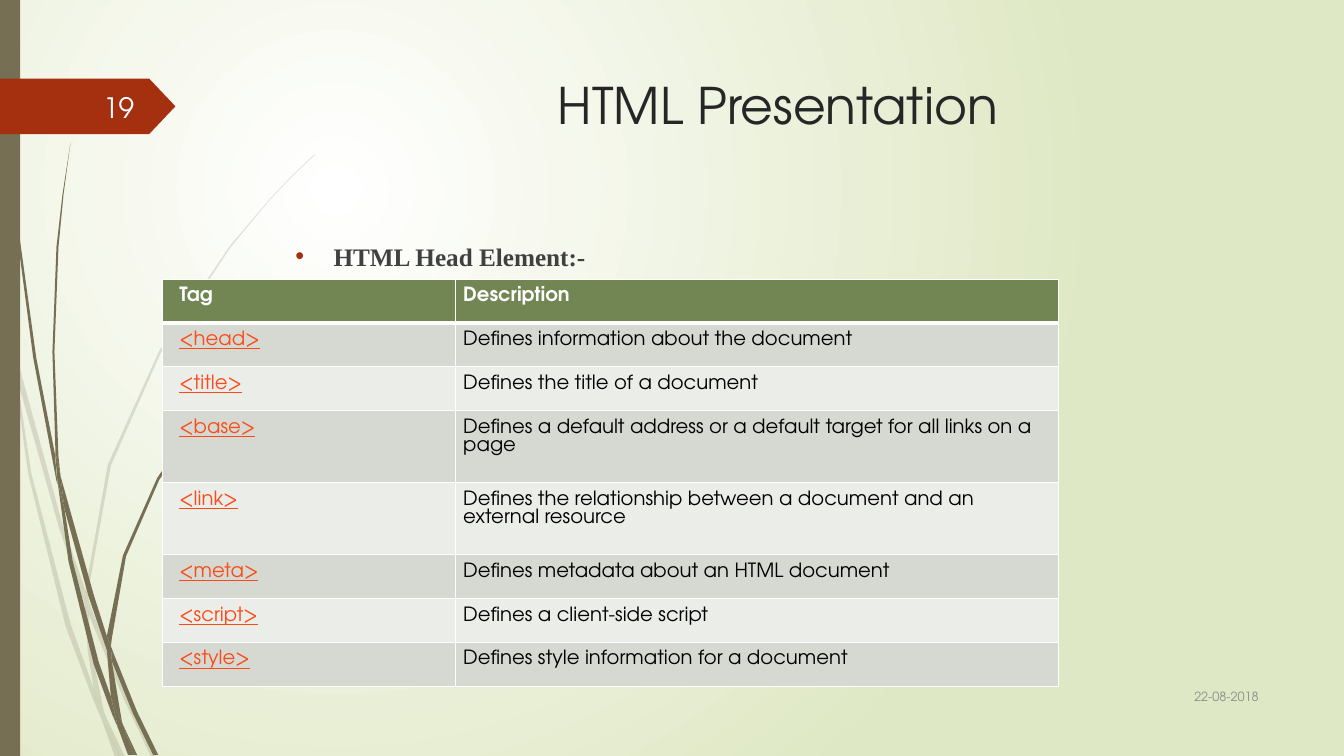
from lxml.etree import SubElement
from pptx import Presentation
from pptx.dml.color import RGBColor
from pptx.enum.shapes import MSO_SHAPE
from pptx.enum.text import MSO_ANCHOR, PP_ALIGN
from pptx.oxml import parse_xml
from pptx.oxml.ns import nsdecls, qn
from pptx.util import Inches, Pt

CELL = Inches(0.01)
COLUMNS, ROWS = 1333, 750
SANS, SERIF = "TeX Gyre Adventor", "Times New Roman"
COLORS = {
    "white": "FFFFFF", "meadow": "DFE8C4", "stem": "766F54", "flag": "A53010",
    "number": "FEFFFF", "title": "262626", "body": "404040", "date": "8C8C8C",
    "header": "728653", "odd": "D5D9D1", "even": "EBEDE9", "tag": "FB4A18",
    "text": "000000",
}
PALE_BLADES = [
    [(11, 350), (9, 322), (0, 282), (0, 299), (10, 344)],
    [(58, 522), (84, 599), (85, 586), (62, 520), (14, 345), (17, 376)],
    [(92, 607), (88, 596), (88, 610), (123, 694), (150, 751), (155, 751), (127, 692)],
    [(119, 751), (124, 751), (105, 711)],
    [(93, 683), (70, 619), (31, 469), (17, 376), (11, 350), (28, 470), (65, 621), (92, 693),
     (101, 714), (99, 707)],
    [(84, 599), (87, 646), (93, 683), (96, 692), (105, 711), (103, 706), (91, 646), (88, 610),
     (88, 608)],
    [(88, 584), (110, 462), (160, 349), (229, 245), (268, 198), (290, 175), (312, 154), (312, 153),
     (289, 175), (268, 197), (228, 244), (158, 348), (107, 461), (85, 584), (85, 586), (88, 596)],
    [(101, 714), (114, 751), (119, 751)],
    [(88, 608), (88, 610), (88, 596), (85, 586), (84, 599)],
    [(96, 692), (93, 683), (99, 707), (101, 714), (119, 751), (105, 711)],
]
DARK_BLADES = [
    [(7, 110), (17, 233), (33, 355), (56, 477), (57, 481), (55, 457), (55, 453), (36, 355),
     (19, 232), (8, 109), (5, 48), (4, 0), (3, 0), (4, 48)],
    [(88, 592), (106, 645), (106, 633), (106, 631), (93, 590), (60, 472), (64, 505)],
    [(113, 649), (110, 641), (111, 656), (132, 708), (152, 749), (157, 749), (136, 706)],
    [(110, 691), (98, 657), (72, 556), (64, 505), (57, 477), (68, 557), (93, 659), (111, 708),
     (117, 722), (116, 717)],
    [(60, 472), (58, 453), (54, 349), (58, 245), (63, 193), (70, 141), (62, 193), (56, 245),
     (52, 349), (55, 449)],
    [(133, 749), (136, 749), (122, 719)],
    [(57, 477), (64, 505), (60, 472), (55, 449), (55, 453)],
    [(111, 633), (125, 552), (158, 476), (205, 406), (231, 374), (245, 359), (261, 344), (260, 344),
     (245, 358), (231, 373), (204, 405), (156, 474), (122, 551), (106, 631), (110, 641)],
    [(117, 722), (127, 749), (131, 749)],
    [(106, 645), (110, 691), (116, 706), (122, 719), (121, 716), (111, 656), (109, 651)],
    [(106, 645), (109, 651), (111, 656), (110, 641), (106, 631), (106, 633)],
    [(116, 706), (110, 691), (116, 717), (117, 722), (130, 749), (133, 749), (122, 719)],
]
TAGS = [
    ("Tag", "Description"),
    ("<head>", "Defines information about the document"),
    ("<title>", "Defines the title of a document"),
    ("<base>", "Defines a default address or a default target for all links on a page"),
    ("<link>", "Defines the relationship between a document and an external resource"),
    ("<meta>", "Defines metadata about an HTML document"),
    ("<script>", "Defines a client-side script"),
    ("<style>", "Defines style information for a document"),
]


def color(name):
    """Return the named colour."""
    return RGBColor.from_string(COLORS[name])


def place(box):
    """Turn a box in grid cells into slide lengths."""
    return [round(value * CELL) for value in box]


def paint(shape, name, opacity=100):
    """Give a shape a plain fill without line or shadow."""
    shape.shadow.inherit = False
    shape.line.fill.background()
    shape.fill.solid()
    shape.fill.fore_color.rgb = color(name)
    if opacity < 100:
        tint = shape.element.spPr.find(qn("a:solidFill"))[0]
        SubElement(tint, qn("a:alpha")).set("val", str(opacity * 1000))


def add_outline(shapes, box, points, name, opacity=100):
    """Draw a closed outline from points relative to a box."""
    corners = [place((box[0] + x, box[1] + y)) for x, y in points]
    builder = shapes.build_freeform(*corners[0], scale=1.0)
    builder.add_line_segments(corners[1:], close=True)
    paint(builder.convert_to_shape(), name, opacity)


def add_grass(slide, box):
    """Draw the pale and dark blades and the stem bar."""
    for blades, opacity in ((PALE_BLADES, 20), (DARK_BLADES, 100)):
        group = slide.shapes.add_group_shape()
        for blade in blades:
            add_outline(group.shapes, box, blade, "stem", opacity)
    left, top, _, height = box
    bar = slide.shapes.add_shape(MSO_SHAPE.RECTANGLE, *place((left, top, 20, height)))
    paint(bar, "stem")


def add_run(paragraph, text, size, name, font=SANS, bold=False, underline=False):
    """Add one formatted run to a paragraph."""
    run = paragraph.add_run()
    run.text = text
    run.font.size, run.font.name = Pt(size), font
    run.font.bold, run.font.underline = bold, underline
    run.font.color.rgb = color(name)


def add_text(slide, box, text, size, name, align=PP_ALIGN.LEFT, anchor=MSO_ANCHOR.TOP, **style):
    """Add a wrapped one-paragraph text box and return its paragraph."""
    frame = slide.shapes.add_textbox(*place(box)).text_frame
    frame.word_wrap = True
    frame.vertical_anchor = anchor
    paragraph = frame.paragraphs[0]
    paragraph.alignment = align
    add_run(paragraph, text, size, name, **style)
    return paragraph


def add_number_flag(slide, box):
    """Draw the pointed flag with the slide number."""
    left, top, width, height = box
    notch = width - 26
    points = [(0, 0), (notch, 0), (width, height / 2), (notch, height), (0, height)]
    add_outline(slide.shapes, box, points, "flag")
    add_text(slide, (left + 58, top + 8, 85, 40), "19", 20, "number",
             PP_ALIGN.RIGHT, MSO_ANCHOR.MIDDLE)


def add_heading(slide, box):
    """Add the bulleted heading above the table."""
    paragraph = add_text(slide, box, "HTML Head Element:-", 18, "body", font=SERIF, bold=True)
    paragraph.space_before = Pt(10)
    properties = paragraph._p.get_or_add_pPr()
    properties.set("marL", str(Inches(0.38)))
    properties.set("indent", str(-Inches(0.38)))
    tint = SubElement(SubElement(properties, qn("a:buClr")), qn("a:srgbClr"))
    tint.set("val", COLORS["flag"])
    SubElement(properties, qn("a:buFont")).set("typeface", "Arial")
    SubElement(properties, qn("a:buChar")).set("char", "•")


def add_borders(cell, widths):
    """Draw white borders with a width for each side."""
    properties = cell._tc.get_or_add_tcPr()
    for index, (side, width) in enumerate(widths.items()):
        properties.insert(index, parse_xml(
            f'<a:ln{side} {nsdecls("a")} w="{Pt(width)}"><a:solidFill>'
            f'<a:srgbClr val="{COLORS["white"]}"/></a:solidFill></a:ln{side}>'))


def add_tag_table(slide, box):
    """Add the table of head tags and their descriptions."""
    table = slide.shapes.add_table(len(TAGS), 2, *place(box)).table
    for column, width in zip(table.columns, place((290.5, box[2] - 290.5))):
        column.width = width
    for index, texts in enumerate(TAGS):
        header = index == 0
        table.rows[index].height = round((71.5 if index in (3, 4) else 43.5) * CELL)
        fill = "header" if header else ("even", "odd")[index % 2]
        widths = {"L": 1, "R": 1, "T": 3 if index == 1 else 1, "B": 3 if header else 1}
        for position, text in enumerate(texts):
            cell = table.cell(index, position)
            cell.margin_left = (8 if position else 17) * CELL
            cell.margin_right = cell.margin_top = cell.margin_bottom = 8 * CELL
            cell.fill.solid()
            cell.fill.fore_color.rgb = color(fill)
            add_borders(cell, widths)
            name = "white" if header else ("tag", "text")[position]
            add_run(cell.text_frame.paragraphs[0], text, 14, name,
                    bold=header, underline=name == "tag")


def set_background(slide):
    """Fill the background with a round glow from the upper left."""
    fill = slide.background.fill
    fill.gradient()
    for stop, name, position in zip(fill.gradient_stops, ("white", "meadow"), (0, 1)):
        stop.color.rgb = color(name)
        stop.position = position
    gradient = slide.element.find(".//" + qn("a:gradFill"))
    gradient.remove(gradient.find(qn("a:lin")))
    gradient.append(parse_xml(
        f'<a:path {nsdecls("a")} path="circle"><a:fillToRect l="50000" t="50000" '
        'r="100000" b="100000"/></a:path>'))


def build_tag_slide(slide):
    """Place every region of the head element slide."""
    set_background(slide)
    add_grass(slide, (0, 0, 312, ROWS))
    add_number_flag(slide, (0, 78, 174, 55))
    add_text(slide, (284, 69, 975, 140), "HTML Presentation", 36, "title", PP_ALIGN.CENTER)
    add_heading(slide, (283, 234, 975, 413))
    add_text(slide, (1133, 670, 125, 41), "22-08-2018", 9, "date",
             PP_ALIGN.RIGHT, MSO_ANCHOR.MIDDLE)
    add_tag_table(slide, (161, 277, 889, 404))


presentation = Presentation()
presentation.slide_width, presentation.slide_height = place((COLUMNS, ROWS))
build_tag_slide(presentation.slides.add_slide(presentation.slide_layouts[6]))
presentation.save("out.pptx")
